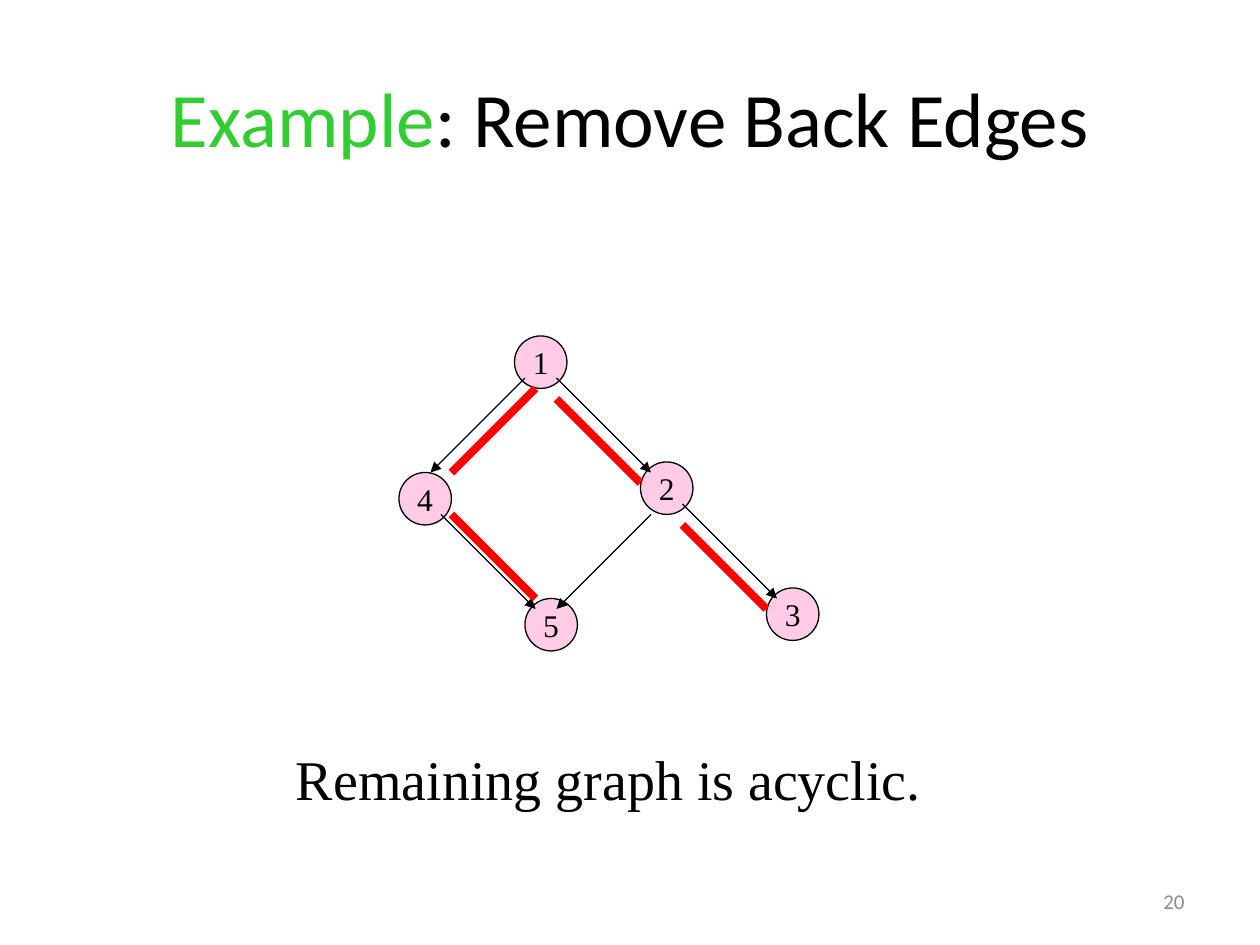
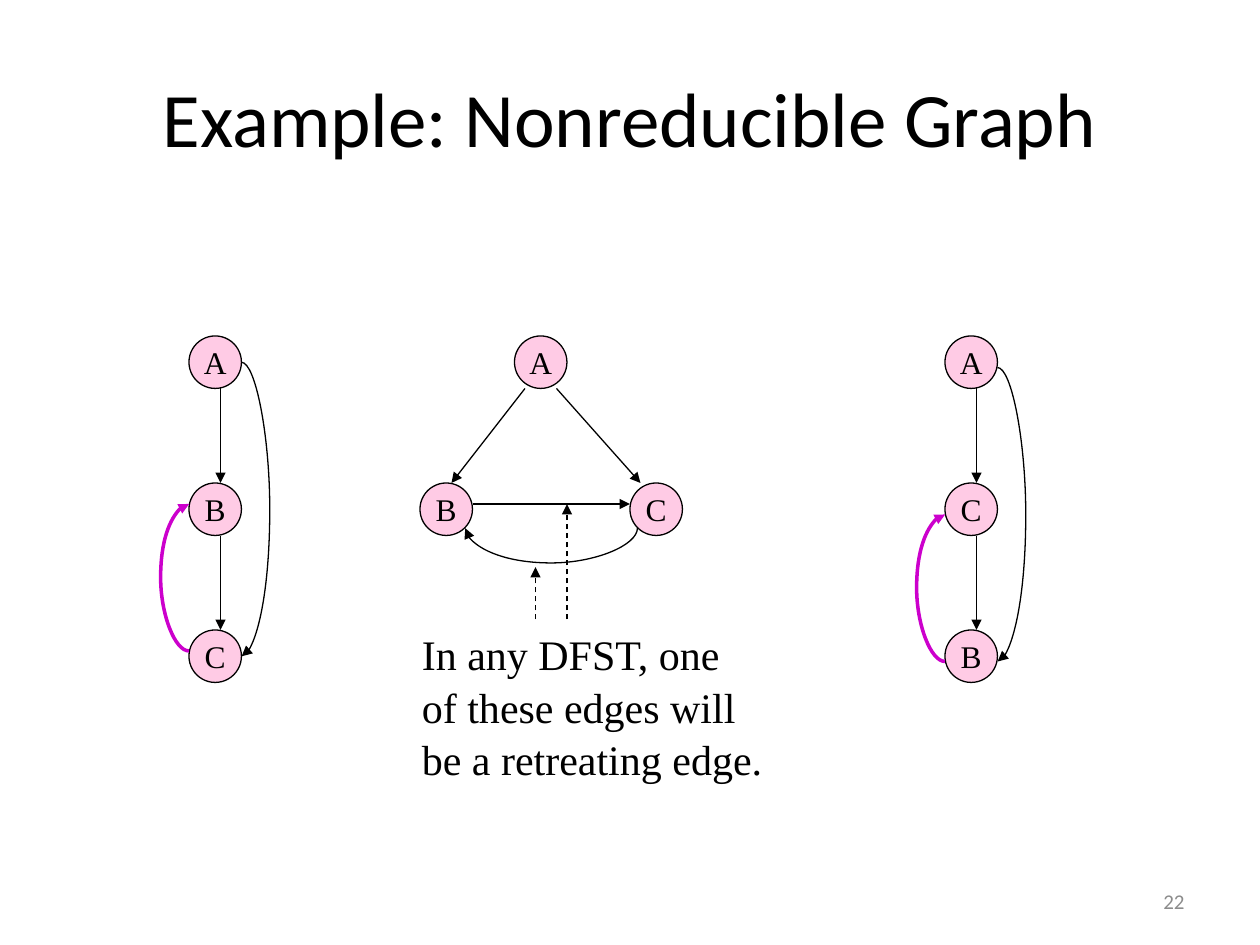
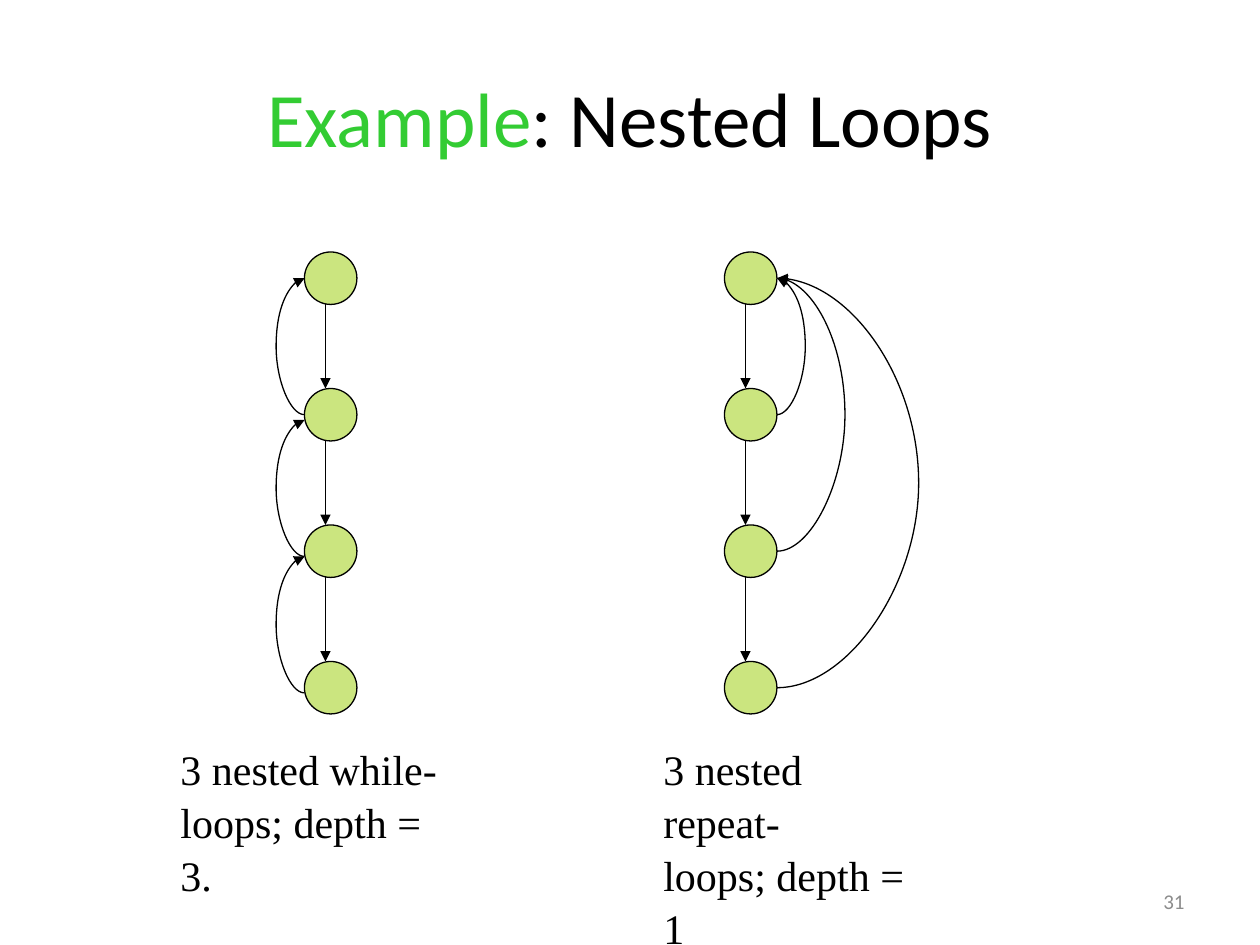
"""Build three slides of flow-graph examples on a grid of 120 columns by 90 rows."""
from lxml import etree
from pptx import Presentation
from pptx.dml.color import RGBColor
from pptx.enum.dml import MSO_LINE
from pptx.enum.shapes import MSO_CONNECTOR, MSO_SHAPE
from pptx.enum.text import MSO_ANCHOR, PP_ALIGN
from pptx.oxml.ns import qn
from pptx.util import Emu, Inches, Pt

STRAIGHT, CURVE = MSO_CONNECTOR.STRAIGHT, MSO_CONNECTOR.CURVE
ELLIPSE = MSO_SHAPE.OVAL
DASH = MSO_LINE.DASH
TOP, MIDDLE = MSO_ANCHOR.TOP, MSO_ANCHOR.MIDDLE
LEFT, CENTER, RIGHT = PP_ALIGN.LEFT, PP_ALIGN.CENTER, PP_ALIGN.RIGHT

COLUMNS, ROWS = 120, 90
NODE = 5
CURVE_WIDTH = 1600
COLORS = {
    "text": "000000",
    "accent": "33CC33",
    "number": "8C8C8C",
    "pink": "FF99CC",
    "lime": "99CC00",
    "tree": "FF0000",
    "retreat": "CC00CC",
}
SANS, SERIF = "Calibri", "Times New Roman"


def color(name):
    """Return the named colour."""
    return RGBColor.from_string(COLORS[name])


class GraphDeck:
    """Hold the presentation, its style and the current slide."""

    def __init__(self):
        """Open an empty presentation of 10 by 7.5 inches."""
        self.presentation = Presentation()
        self.presentation.slide_width = Inches(10)
        self.presentation.slide_height = Inches(7.5)
        self.slide = None

    def x(self, columns):
        """Turn columns into a length."""
        return Emu(round(self.presentation.slide_width * columns / COLUMNS))

    def y(self, rows):
        """Turn rows into a length."""
        return Emu(round(self.presentation.slide_height * rows / ROWS))

    def style(self, paragraph, font, size, alignment, name="text"):
        """Set the font and alignment of a paragraph."""
        paragraph.alignment = alignment
        paragraph.font.name = font
        paragraph.font.size = Pt(size)
        paragraph.font.color.rgb = color(name)

    def text_frame(self, left, top, width, height, anchor):
        """Add a wrapping text box and return its frame."""
        box = self.slide.shapes.add_textbox(
            self.x(left), self.y(top), self.x(width), self.y(height))
        box.text_frame.word_wrap = True
        box.text_frame.vertical_anchor = anchor
        return box.text_frame

    def new_slide(self, title, number, accent=""):
        """Add a slide with its title and page number."""
        self.slide = self.presentation.slides.add_slide(
            self.presentation.slide_layouts[6])
        paragraph = self.text_frame(6, 3.6, 108, 15, MIDDLE).paragraphs[0]
        self.style(paragraph, SANS, 44, CENTER)
        if accent:
            run = paragraph.add_run()
            run.text = accent
            run.font.color.rgb = color("accent")
        paragraph.add_run().text = title
        paragraph = self.text_frame(86, 83.4, 28, 4.8, MIDDLE).paragraphs[0]
        paragraph.text = str(number)
        self.style(paragraph, SANS, 12, RIGHT, "number")

    def caption(self, left, top, width, height, lines, size=24):
        """Add a caption with one paragraph for each line."""
        frame = self.text_frame(left, top, width, height, TOP)
        frame.text = "\n".join(lines)
        for paragraph in frame.paragraphs:
            self.style(paragraph, SERIF, size, LEFT)
            paragraph.line_spacing = 1.05

    def node(self, left, top, label="", fill="pink"):
        """Add a half-transparent graph node."""
        shape = self.slide.shapes.add_shape(
            ELLIPSE, self.x(left), self.y(top), self.x(NODE), self.y(NODE))
        shape.shadow.inherit = False
        shape.fill.solid()
        shape.fill.fore_color.rgb = color(fill)
        tint = shape._element.spPr.find(qn("a:solidFill"))[0]
        etree.SubElement(tint, qn("a:alpha")).set("val", "50000")
        shape.line.color.rgb = color("text")
        shape.line.width = Pt(0.75)
        if label:
            frame = shape.text_frame
            frame.word_wrap = False
            frame.vertical_anchor = MIDDLE
            frame.text = label
            self.style(frame.paragraphs[0], SERIF, 18, CENTER)

    def finish(self, connector, name, width, arrow=True, dash=None):
        """Style a connector and return its shape properties."""
        connector.line.color.rgb = color(name)
        connector.line.width = Pt(width)
        if dash:
            connector.line.dash_style = dash
        properties = connector._element.spPr
        if arrow:
            line = properties.find(qn("a:ln"))
            etree.SubElement(line, qn("a:tailEnd")).set("type", "triangle")
        etree.SubElement(properties, qn("a:effectLst"))
        return properties

    def edge(self, x1, y1, x2, y2, name="text", width=0.75, arrow=True, dash=None):
        """Add a straight edge."""
        connector = self.slide.shapes.add_connector(
            STRAIGHT, self.x(x1), self.y(y1), self.x(x2), self.y(y2))
        self.finish(connector, name, width, arrow, dash)

    def arc(self, x, y1, y2, bulge, name="text", width=0.75, turn=0):
        """Add a curved edge that bulges sideways by some columns."""
        connector = self.slide.shapes.add_connector(
            CURVE, self.x(x), self.y(y1), self.x(x) + CURVE_WIDTH, self.y(y2))
        properties = self.finish(connector, name, width)
        properties.find(qn("a:xfrm")).set("rot", str(turn * 60000))
        geometry = properties.find(qn("a:prstGeom"))
        adjustments = geometry.find(qn("a:avLst"))
        if adjustments is None:
            adjustments = etree.SubElement(geometry, qn("a:avLst"))
        guide = etree.SubElement(adjustments, qn("a:gd"))
        guide.set("name", "adj1")
        guide.set("fmla", f"val {round(self.x(bulge) / CURVE_WIDTH * 100000)}")

    def chain(self, left, top, step, labels, line_offset, fill="pink"):
        """Add a column of nodes joined by downward edges."""
        for index, label in enumerate(labels):
            row = top + index * step
            self.node(left, row, label, fill)
            if index:
                column = left + line_offset
                self.edge(column, row - step + NODE, column, row)


def back_edges(deck):
    """Draw the acyclic graph with its spanning tree."""
    deck.new_slide(": Remove Back Edges", 20, "Example")
    for label, left, top in (("1", 49, 32), ("3", 73, 56), ("5", 50, 57),
                             ("2", 61, 44), ("4", 38, 45)):
        deck.node(left, top, label)
    for x, y, direction in ((53, 36, 1), (65, 48, 1), (50, 36, -1),
                            (42, 49, 1), (62, 49, -1)):
        deck.edge(x, y, x + 9 * direction, y + 9)
    for x, y, direction in ((51, 37, -1), (65, 50, 1), (53, 38, 1), (43, 49, 1)):
        deck.edge(x, y, x + 8 * direction, y + 8, "tree", 4.5, arrow=False)
    deck.caption(27, 70, 66.4, 7.6, ["Remaining graph is acyclic."], 32)


def nonreducible(deck):
    """Draw the nonreducible graph between its two spanning trees."""
    deck.new_slide("Example: Nonreducible Graph", 22)
    for label, left, top in (("A", 49, 32), ("C", 60, 46), ("B", 40, 46)):
        deck.node(left, top, label)
    for ends in ((50, 37, 43, 46), (53, 37, 61, 46), (45, 48, 60, 48)):
        deck.edge(*ends)
    deck.arc(52.5, 42.1, 58.5, 3.7, turn=90)
    deck.caption(39, 59, 39.6, 15.6, [
        "In any DFST, one", "of these edges will", "be a retreating edge."])
    deck.edge(51, 59, 51, 54, dash=DASH)
    deck.edge(54, 59, 54, 48, dash=DASH)
    for left, labels, forward, retreat in ((90, "ACB", 35, 63), (18, "ABC", 34.5, 62)):
        deck.chain(left, 32, 14, labels, 3)
        deck.arc(left + NODE, forward, forward + 28, 3)
        deck.arc(left, retreat, retreat - 14, -3, "retreat", 2)


def nested_loops(deck):
    """Draw nested while-loops beside nested repeat-loops."""
    deck.new_slide(": Nested Loops", 31, "Example")
    step = 13
    deck.chain(29, 24, step, [""] * 4, 2, "lime")
    deck.chain(69, 24, step, [""] * 4, 2, "lime")
    for start in (39.5, 53, 66):
        deck.arc(29, start, start - step, -3)
    for level, bulge in enumerate((3, 7.2, 15), 1):
        deck.arc(74, 26.5 + level * step, 26.5, bulge)
    deck.caption(16, 70, 28.1, 9.2, ["3 nested while-", "loops; depth = 3."])
    deck.caption(62, 70, 27.1, 9.2, ["3 nested repeat-", "loops; depth = 1"])


def main():
    """Build the slides and save them."""
    deck = GraphDeck()
    for build in (back_edges, nonreducible, nested_loops):
        build(deck)
    deck.presentation.save("out.pptx")


main()
